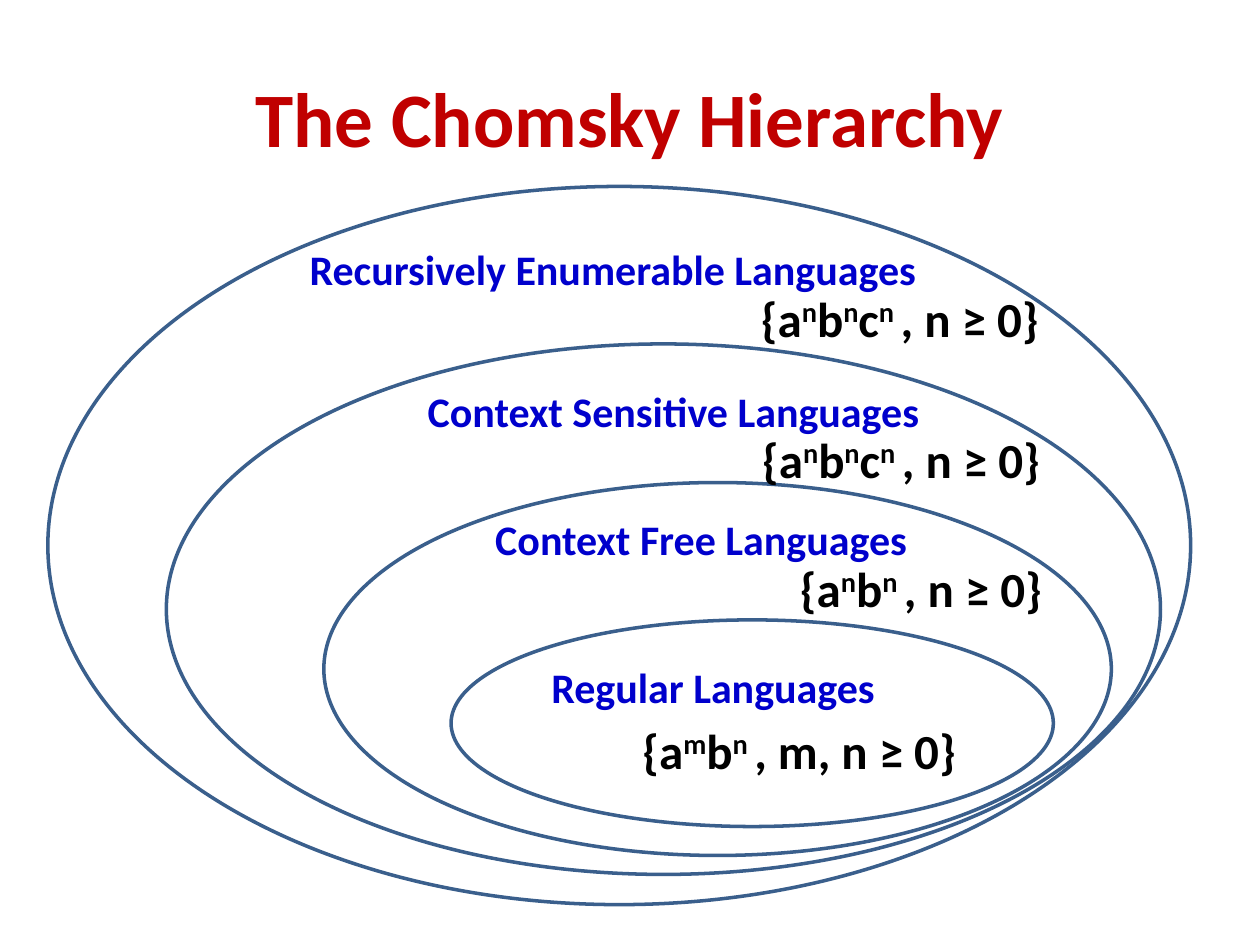
"""Build a slide of nested ellipses showing the Chomsky hierarchy."""
from dataclasses import dataclass

from pptx import Presentation
from pptx.dml.color import RGBColor
from pptx.enum.shapes import MSO_SHAPE
from pptx.enum.text import MSO_ANCHOR, MSO_AUTO_SIZE, PP_ALIGN
from pptx.util import Inches, Pt

ELLIPSE = MSO_SHAPE.OVAL
MIDDLE = MSO_ANCHOR.MIDDLE
FIT_SHAPE = MSO_AUTO_SIZE.SHAPE_TO_FIT_TEXT
LEFT, CENTER = PP_ALIGN.LEFT, PP_ALIGN.CENTER

WHITE = RGBColor(0xFF, 0xFF, 0xFF)
BLACK = RGBColor(0x00, 0x00, 0x00)
RED = RGBColor(0xC0, 0x00, 0x00)
BLUE = RGBColor(0x00, 0x00, 0xCC)
OUTLINE = RGBColor(0x3A, 0x5F, 0x8C)

FONT = "Calibri"
TITLE_ONLY = 5
SUPERSCRIPT = "30000"

Box = tuple[float, float, float, float]


@dataclass(frozen=True)
class LanguageClass:
    """One ring of the hierarchy; formula parts alternate base and superscript."""
    name: str
    ellipse: Box
    name_box: Box
    formula: tuple[str, ...]
    formula_box: Box


LANGUAGE_CLASSES = (
    LanguageClass("Recursively Enumerable Languages",
                  (0.38, 1.48, 9.07, 5.7), (2.33, 1.88, 5.07, 0.51),
                  ("{a", "n", "b", "n", "c", "n ", ", n ≥ 0}"),
                  (5.94, 2.24, 2.5, 0.57)),
    LanguageClass("Context Sensitive Languages",
                  (1.32, 2.73, 7.89, 4.21), (3.27, 3.01, 4.15, 0.51),
                  ("{a", "n", "b", "n", "c", "n ", ", n ≥ 0}"),
                  (5.95, 3.36, 2.5, 0.57)),
    LanguageClass("Context Free Languages",
                  (2.57, 3.83, 6.25, 2.96), (3.81, 4.03, 3.51, 0.51),
                  ("{a", "n", "b", "n ", ", n ≥ 0}"),
                  (6.25, 4.38, 2.19, 0.57)),
    LanguageClass("Regular Languages",
                  (3.58, 4.92, 4.78, 1.64), (4.26, 5.2, 2.8, 0.51),
                  ("{a", "m", "b", "n ", ", m, n ≥ 0}"),
                  (5, 5.67, 2.78, 0.57)),
)


def to_inches(box: Box) -> list[Inches]:
    """Convert a box in inches to slide lengths."""
    return [Inches(value) for value in box]


def add_run(paragraph, text: str, size: int, color: RGBColor):
    """Add a bold run and return it."""
    run = paragraph.add_run()
    run.text = text
    run.font.name = FONT
    run.font.size = Pt(size)
    run.font.bold = True
    run.font.color.rgb = color
    return run


def add_title(slide, text: str, box: Box) -> None:
    """Move and fill the title placeholder."""
    title = slide.shapes.title
    title.left, title.top, title.width, title.height = to_inches(box)
    title.text_frame.vertical_anchor = MIDDLE
    paragraph = title.text_frame.paragraphs[0]
    paragraph.alignment = CENTER
    add_run(paragraph, text, 44, RED)


def add_ellipse(slide, box: Box) -> None:
    """Draw a white ellipse with a blue outline."""
    ellipse = slide.shapes.add_shape(ELLIPSE, *to_inches(box))
    ellipse.shadow.inherit = False
    ellipse.fill.solid()
    ellipse.fill.fore_color.rgb = WHITE
    ellipse.line.color.rgb = OUTLINE
    ellipse.line.width = Pt(2)


def add_text(slide, box: Box, parts: tuple[str, ...], size: int,
             color: RGBColor, alignment: PP_ALIGN) -> None:
    """Add one line of text, raising every second part."""
    text_frame = slide.shapes.add_textbox(*to_inches(box)).text_frame
    text_frame.word_wrap = False
    text_frame.auto_size = FIT_SHAPE
    paragraph = text_frame.paragraphs[0]
    paragraph.alignment = alignment
    for index, part in enumerate(parts):
        run = add_run(paragraph, part, size, color)
        if index % 2:
            run._r.get_or_add_rPr().set("baseline", SUPERSCRIPT)


def main() -> None:
    """Build and save the presentation."""
    presentation = Presentation()
    presentation.slide_width = Inches(10)
    presentation.slide_height = Inches(7.5)
    slide = presentation.slides.add_slide(presentation.slide_layouts[TITLE_ONLY])
    add_title(slide, "The Chomsky Hierarchy", (0.5, 0.3, 9, 1.25))
    for language in LANGUAGE_CLASSES:
        add_ellipse(slide, language.ellipse)
    for language in LANGUAGE_CLASSES:
        add_text(slide, language.name_box, (language.name,), 24, BLUE, CENTER)
        add_text(slide, language.formula_box, language.formula, 28, BLACK, LEFT)
    presentation.save("out.pptx")


if __name__ == "__main__":
    main()
